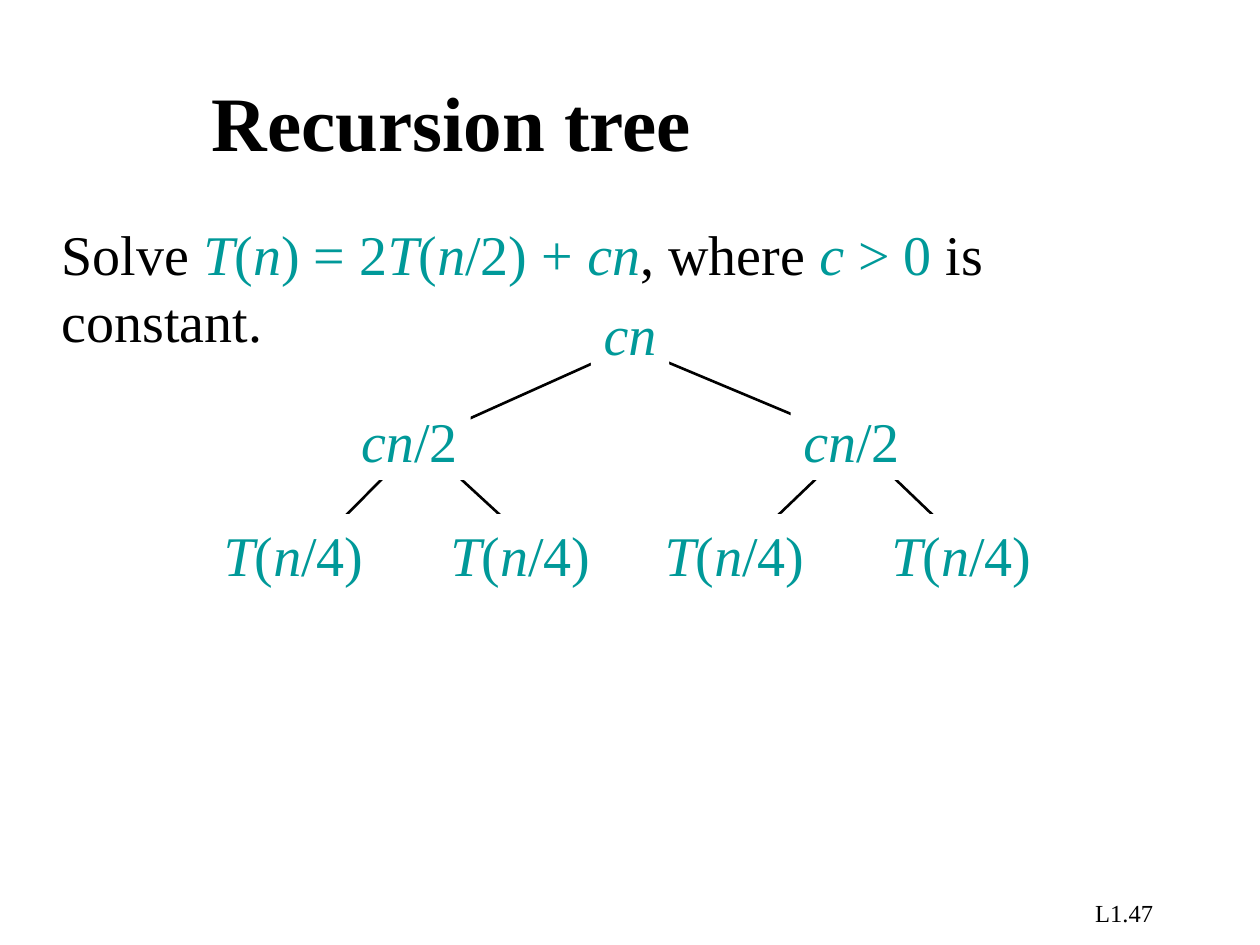
from lxml.etree import SubElement
from pptx import Presentation
from pptx.dml.color import RGBColor
from pptx.enum.shapes import MSO_CONNECTOR as Connector, MSO_SHAPE as Shape
from pptx.enum.text import MSO_ANCHOR as Anchor, PP_ALIGN as Align
from pptx.oxml.ns import qn
from pptx.util import Inches, Pt

THEME = {
    "font": "Times New Roman",
    "ink": RGBColor(0, 0, 0),
    "math": RGBColor(0x00, 0x99, 0x99),
    "paper": RGBColor(255, 255, 255),
    "title": 44, "body": 32, "footer": 14, "line": 1.5,
}

# Run styles: colour key, bold, italic
STYLES = {
    "plain": ("ink", False, False),
    "bold": ("ink", True, False),
    "math": ("math", False, False),
    "variable": ("math", False, True),
}

# Content: runs of (text, style)
TITLE = [("Recursion tree", "bold")]
PAGE = [("L1.47", "plain")]
PROBLEM = [
    ("Solve ", "plain"), ("T", "variable"), ("(", "math"), ("n", "variable"),
    (") = 2", "math"), ("T", "variable"), ("(", "math"), ("n", "variable"),
    ("/2) + ", "math"), ("cn", "variable"), (", where ", "plain"),
    ("c ", "variable"), ("> 0", "math"), (" is constant.", "plain"),
]
ROOT = [("cn", "variable")]
HALF = [("cn", "variable"), ("/2", "math")]
QUARTER = [("T", "variable"), ("(", "math"), ("n", "variable"), ("/4)", "math")]

# Tree levels: runs, node width, node top, node centres from left to right
LEVELS = [
    (ROOT, 0.62, 2.33, [5.0]),
    (HALF, 0.97, 3.18, [3.25, 6.76]),
    (QUARTER, 1.31, 4.08, [2.33, 4.13, 5.83, 7.63]),
]
NODE_HEIGHT = 0.63
# Branch joints of each level, in the same order as the nodes
JOINTS = [
    (2.75, [5.0]),
    (3.5, [3.33, 6.79]),
    (4.42, [2.42, 4.33, 5.83, 7.75]),
]


def write(shape, runs, size, align=Align.LEFT, anchor=Anchor.TOP, wrap=True):
    frame = shape.text_frame
    frame.word_wrap = wrap
    frame.vertical_anchor = anchor
    paragraph = frame.paragraphs[0]
    paragraph.alignment = align
    for text, style in runs:
        color, bold, italic = STYLES[style]
        run = paragraph.add_run()
        run.text = text
        run.font.name = THEME["font"]
        run.font.size = Pt(THEME[size])
        run.font.bold = bold
        run.font.italic = italic
        run.font.color.rgb = THEME[color]


def add_text(slide, box, runs, size, **layout):
    write(slide.shapes.add_textbox(*map(Inches, box)), runs, size, **layout)


def add_branch(slide, start, end):
    branch = slide.shapes.add_connector(
        Connector.STRAIGHT, *map(Inches, start + end))
    branch.line.color.rgb = THEME["ink"]
    branch.line.width = Pt(THEME["line"])
    SubElement(branch._element.spPr, qn("a:effectLst"))


def add_node(slide, center, top, width, runs):
    node = slide.shapes.add_shape(
        Shape.RECTANGLE, Inches(center - width / 2), Inches(top),
        Inches(width), Inches(NODE_HEIGHT))
    node.shadow.inherit = False
    node.fill.solid()
    node.fill.fore_color.rgb = THEME["paper"]
    node.line.fill.background()
    write(node, runs, "body", align=Align.CENTER, wrap=False)


def main():
    presentation = Presentation()
    presentation.slide_width = Inches(10)
    presentation.slide_height = Inches(7.5)
    slide = presentation.slides.add_slide(presentation.slide_layouts[6])

    # Page number, title and problem statement
    add_text(slide, (7.17, 7.08, 2.08, 0.25), PAGE, "footer", align=Align.RIGHT)
    add_text(slide, (1.58, 0.33, 8.25, 1.25), TITLE, "title", anchor=Anchor.MIDDLE)
    add_text(slide, (0.39, 1.69, 9.21, 0.63), PROBLEM, "body")

    # Branches: child i hangs from parent i // 2
    for (parent_y, parents), (child_y, children) in zip(JOINTS, JOINTS[1:]):
        for index, child_x in enumerate(children):
            add_branch(slide, (parents[index // 2], parent_y), (child_x, child_y))

    # Nodes cover the branch ends
    for runs, width, top, centers in LEVELS:
        for center in centers:
            add_node(slide, center, top, width, runs)

    presentation.save("out.pptx")


if __name__ == "__main__":
    main()
